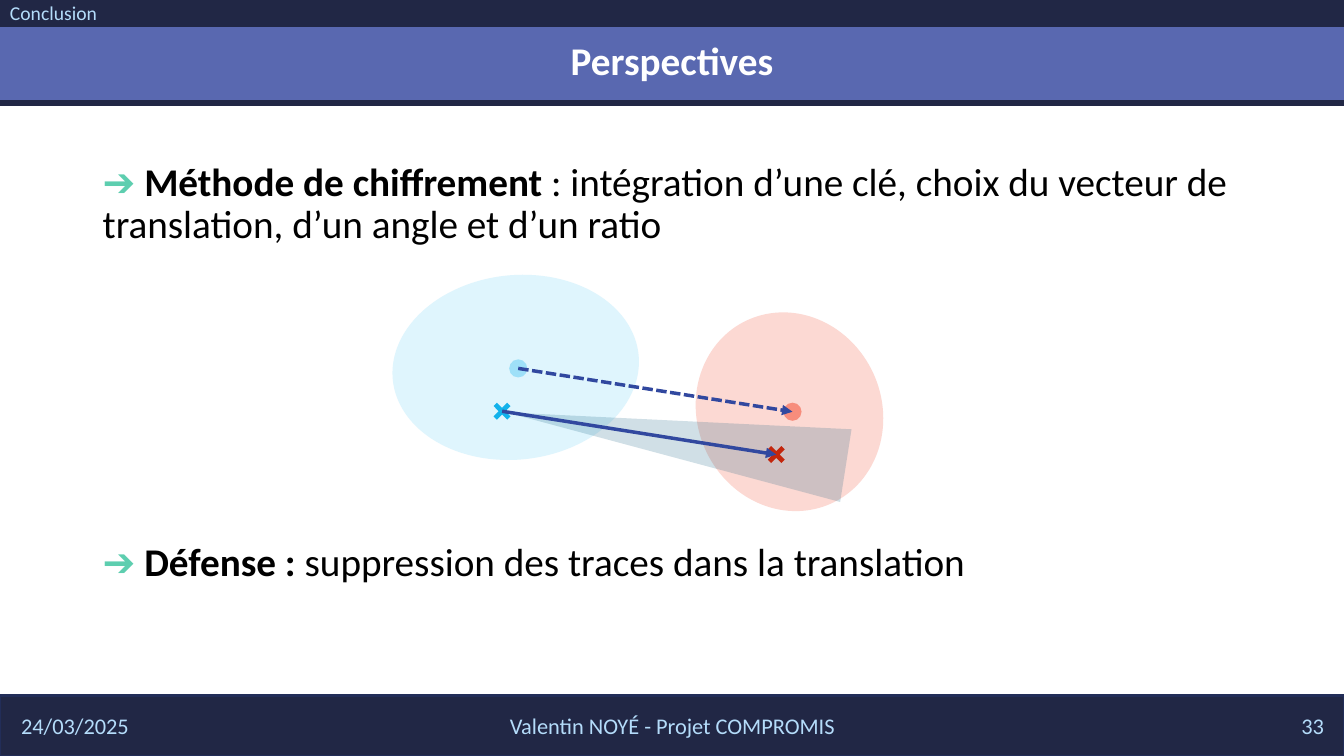
from dataclasses import dataclass

from lxml.etree import SubElement
from pptx import Presentation
from pptx.dml.color import RGBColor
from pptx.enum.dml import MSO_LINE_DASH_STYLE as Dash
from pptx.enum.shapes import MSO_CONNECTOR as Connector, MSO_SHAPE as Shape
from pptx.enum.text import MSO_ANCHOR as Anchor, PP_ALIGN as Align
from pptx.oxml.ns import qn
from pptx.util import Inches, Pt


@dataclass(frozen=True)
class Theme:
    font: str = "Calibri"
    title_size: int = 28
    body_size: int = 28
    footer_size: int = 16
    section_size: int = 14
    navy: str = "212745"
    footer_edge: str = "222D58"
    indigo: str = "5968B0"
    white: str = "FFFFFF"
    black: str = "000000"
    pale_blue: str = "B4DCFA"
    mint: str = "5DCEAF"
    vector: str = "31489F"
    cone: str = "156082"
    source_zone: str = "DFF5FD"
    source_dot: str = "9EE0F8"
    source_cross: str = "12B2EB"
    target_zone: str = "FCD9D3"
    target_dot: str = "F78D7C"
    target_cross: str = "C3260C"


THEME = Theme()


@dataclass(frozen=True)
class Box:
    """A region in inches, divided into columns and rows."""
    left: float
    top: float
    width: float
    height: float
    cols: float = 100
    rows: float = 100

    def point(self, col, row):
        return (Inches(self.left + col * self.width / self.cols),
                Inches(self.top + row * self.height / self.rows))

    def cells(self, col, row, wide, high):
        return (*self.point(col, row), Inches(wide * self.width / self.cols),
                Inches(high * self.height / self.rows))


def rgb(code):
    return RGBColor.from_string(code)


def add_figure(slide, kind, place, fill, edge=None, edge_width=0, rotation=0):
    figure = slide.shapes.add_shape(kind, *place)
    figure.shadow.inherit = False
    figure.fill.solid()
    figure.fill.fore_color.rgb = rgb(fill)
    if edge:
        figure.line.color.rgb = rgb(edge)
        figure.line.width = Pt(edge_width)
    else:
        figure.line.fill.background()
    figure.rotation = rotation
    return figure


def add_frame(slide, place, anchor=Anchor.MIDDLE):
    frame = slide.shapes.add_textbox(*place).text_frame
    frame.word_wrap = True
    frame.vertical_anchor = anchor
    return frame


def add_label(slide, place, text, size, color, align=Align.LEFT, bold=False, spacing=1.0):
    label = add_frame(slide, place).paragraphs[0]
    label.text = text
    label.alignment = align
    label.line_spacing = spacing
    font = label.font
    font.name, font.size, font.bold = THEME.font, Pt(size), bold
    font.color.rgb = rgb(color)


def add_vector(slide, start, end, dash=None):
    vector = slide.shapes.add_connector(Connector.STRAIGHT, *start, *end)
    vector.line.color.rgb = rgb(THEME.vector)
    vector.line.width = Pt(2.5)
    if dash:
        vector.line.dash_style = dash
    SubElement(vector.line._get_or_add_ln(), qn("a:tailEnd"), type="triangle")
    SubElement(vector._element.spPr, qn("a:effectLst"))


def add_header(slide, box, section, title):
    bleed = dict(col=-0.68, wide=101.58)
    add_figure(slide, Shape.RECTANGLE, box.cells(row=4.8, high=15.6, **bleed),
               THEME.indigo, THEME.navy, 4.5)
    add_figure(slide, Shape.RECTANGLE, box.cells(row=-4, high=9, **bleed), THEME.navy)
    add_label(slide, box.cells(0, -2, 100, 29), title, THEME.title_size,
              THEME.white, Align.CENTER, bold=True, spacing=0.9)
    add_label(slide, box.cells(0, 0, 52.8, 5.8), section, THEME.section_size,
              THEME.pale_blue, spacing=0.8)


def add_footer(slide, box, date, author, number):
    add_figure(slide, Shape.RECTANGLE, box.cells(0, 0, box.cols, box.rows),
               THEME.navy, THEME.footer_edge, 1.5)
    for text, col, wide, align in ((date, 0.83, 22.5, Align.LEFT),
                                   (author, 33.15, 33.75, Align.CENTER),
                                   (number, 76.75, 22.5, Align.RIGHT)):
        add_label(slide, box.cells(col, 2, wide, 8), text, THEME.footer_size,
                  THEME.pale_blue, align)


def add_prospects(slide, box, prospects, gap):
    frame = add_frame(slide, box.cells(0, 0, box.cols, box.rows), Anchor.TOP)
    for index, (topic, detail) in enumerate(prospects):
        prospect = frame.add_paragraph() if index else frame.paragraphs[0]
        prospect.line_spacing = 0.9
        if index:
            prospect.space_before = Pt(gap)
        prospect.font.name, prospect.font.size = THEME.font, Pt(THEME.body_size)
        for text, color, bold in (("➔ ", THEME.mint, True),
                                  (topic, THEME.black, True),
                                  (detail, THEME.black, False)):
            run = prospect.add_run()
            run.text = text
            run.font.bold = bold
            run.font.color.rgb = rgb(color)


def add_translation_diagram(slide, box):
    def translated(point):
        return point[0] + 54.4, point[1] + 8.6

    def centred(point, size):
        return box.cells(point[0] - size / 2, point[1] - size / 2, size, size)

    dot, cross = (25, 18.5), (21.8, 27)

    # Zones and the cone of possible angles
    add_figure(slide, Shape.OVAL, box.cells(0, 0, 49, 36.6), THEME.source_zone, rotation=354.1)
    add_figure(slide, Shape.OVAL, box.cells(58.8, 8.8, 40, 36.6), THEME.target_zone, rotation=65.4)
    cone = add_figure(slide, Shape.ISOSCELES_TRIANGLE, box.cells(49, -1.6, 14.6, 68.2),
                      THEME.cone, rotation=278.9)
    cone_color = cone._element.spPr.find(qn("a:solidFill"))[0]
    SubElement(cone_color, qn("a:alpha"), val="20000")

    # Centres and their translation
    for point, color in ((dot, THEME.source_dot), (translated(dot), THEME.target_dot)):
        add_figure(slide, Shape.OVAL, centred(point, 3.6), color)
    add_vector(slide, box.point(*dot), box.point(*translated(dot)), Dash.SQUARE_DOT)

    # Keyed points and their translation
    for point, color in ((translated(cross), THEME.target_cross), (cross, THEME.source_cross)):
        mark = add_figure(slide, Shape.MATH_MULTIPLY, centred(point, 5.2), color)
        mark.adjustments[0] = 0.18
    add_vector(slide, box.point(*cross), box.point(*translated(cross)))


def main():
    deck = Presentation()
    width, height = 13.33, 7.5
    deck.slide_width, deck.slide_height = Inches(width), Inches(height)
    slide = deck.slides.add_slide(deck.slide_layouts[6])

    add_footer(slide, Box(0, 0.92 * height, width, 0.08 * height, rows=12),
               "24/03/2025", "Valentin NOYÉ - Projet COMPROMIS", "33")
    add_header(slide, Box(0, 0, width, 0.14 * height, rows=21), "Conclusion", "Perspectives")
    add_prospects(slide, Box(0.92, 1.56, 11.5, 5.19), (
        ("Méthode de chiffrement",
         " : intégration d’une clé, choix du vecteur de translation, d’un angle et d’un ratio"),
        ("Défense : ", "suppression des traces dans la translation"),
    ), gap=211)
    add_translation_diagram(slide, Box(3.89, 2.73, 5, 2.5, cols=100, rows=50))

    deck.save("out.pptx")


if __name__ == "__main__":
    main()
